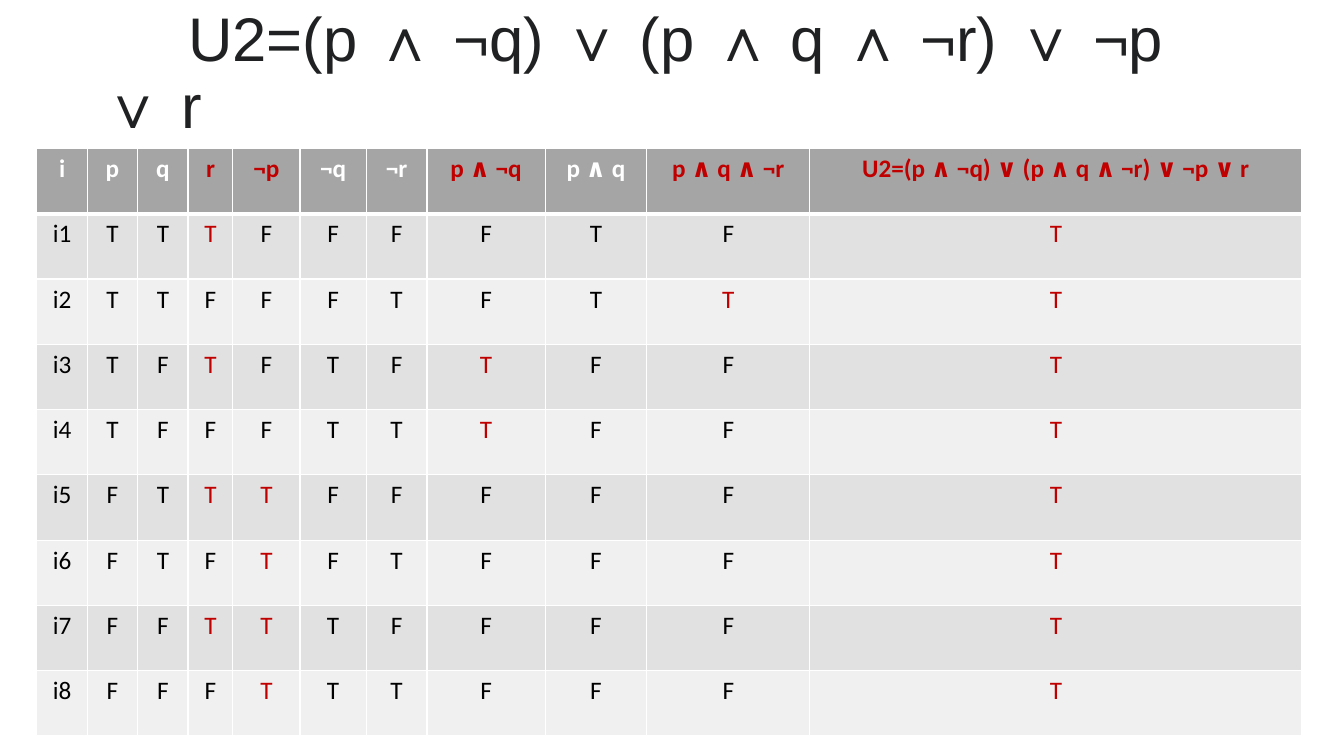
from itertools import product

from pptx import Presentation
from pptx.dml.color import RGBColor
from pptx.enum.text import MSO_ANCHOR, MSO_AUTO_SIZE, PP_ALIGN
from pptx.oxml import parse_xml
from pptx.oxml.ns import nsdecls
from pptx.util import Cm, Pt

INK = RGBColor(0x20, 0x21, 0x22)
BLACK = RGBColor(0x00, 0x00, 0x00)
WHITE = RGBColor(0xFF, 0xFF, 0xFF)
RED = RGBColor(0xC0, 0x00, 0x00)
HEADER_GREY = RGBColor(0xA5, 0xA5, 0xA5)
ODD_GREY = RGBColor(0xE1, 0xE1, 0xE1)
EVEN_GREY = RGBColor(0xF0, 0xF0, 0xF0)

FORMULA = "U2=(p ∧ ¬q) ∨ (p ∧ q ∧ ¬r) ∨ ¬p ∨ r"
HEADINGS = ["i", "p", "q", "r", "¬p", "¬q", "¬r",
            "p ∧ ¬q", "p ∧ q", "p ∧ q ∧ ¬r", FORMULA]
DISJUNCTS = {"r", "¬p", "p ∧ ¬q", "p ∧ q ∧ ¬r", FORMULA}
COLUMN_WIDTHS = [1.27, 1.27, 1.27, 1.13, 1.69, 1.67, 1.53, 2.98, 2.56, 4.11, 12.4]


def truth_rows():
    """Return the label and truth values of every interpretation."""
    rows = []
    for number, (p, q, r) in enumerate(product((True, False), repeat=3), 1):
        p_not_q, p_q_not_r = p and not q, p and q and not r
        values = [p, q, r, not p, not q, not r, p_not_q, p and q, p_q_not_r,
                  p_not_q or p_q_not_r or not p or r]
        rows.append([f"i{number}"] + ["T" if value else "F" for value in values])
    return rows


def add_formula_title(slide, left, top, width, height):
    """Place the formula in the title placeholder."""
    title = slide.shapes.title
    title.left, title.top, title.width, title.height = left, top, width, height
    frame = title.text_frame
    frame.text = FORMULA
    frame.word_wrap = True
    frame.auto_size = MSO_AUTO_SIZE.NONE
    frame.vertical_anchor = MSO_ANCHOR.MIDDLE
    line = frame.paragraphs[0]
    line.alignment = PP_ALIGN.LEFT
    line.line_spacing = 0.9
    properties = line._p.get_or_add_pPr()
    properties.set("marL", "0")
    properties.set("indent", str(Cm(2.16)))
    line.font.name, line.font.size = "Arial", Pt(44)
    line.font.color.rgb = INK


def add_borders(cell, bottom, top):
    """Draw white rules on the four sides of a cell."""
    for side, weight in (("L", 1), ("R", 1), ("T", top), ("B", bottom)):
        cell._tc.get_or_add_tcPr().append(parse_xml(
            f'<a:ln{side} {nsdecls("a")} w="{Pt(weight)}"><a:solidFill>'
            f'<a:srgbClr val="{WHITE}"/></a:solidFill></a:ln{side}>'))


def fill_cell(cell, text, row, heading):
    """Write and format one cell, in red where it decides the formula."""
    is_header = row == 0
    add_borders(cell, bottom=3 if is_header else 1, top=3 if row == 1 else 1)
    cell.fill.solid()
    cell.fill.fore_color.rgb = (
        HEADER_GREY if is_header else ODD_GREY if row % 2 else EVEN_GREY)
    cell.text = text
    entry = cell.text_frame.paragraphs[0]
    entry.alignment = PP_ALIGN.CENTER
    entry.font.name, entry.font.size = "Calibri", Pt(18)
    entry.font.bold = is_header
    is_red = heading in DISJUNCTS and text != "F"
    entry.font.color.rgb = RED if is_red else WHITE if is_header else BLACK


def add_truth_table(slide, left, top, width, height):
    """Build the truth table inside the given box."""
    rows = [HEADINGS] + truth_rows()
    table = slide.shapes.add_table(
        len(rows), len(HEADINGS), left, top, width, height).table
    table.horz_banding = False
    for column, column_width in zip(table.columns, COLUMN_WIDTHS):
        column.width = Cm(column_width)
    for row, texts in enumerate(rows):
        for column, (text, heading) in enumerate(zip(texts, HEADINGS)):
            fill_cell(table.cell(row, column), text, row, heading)


def main():
    """Create the slide and save it."""
    deck = Presentation()
    deck.slide_width, deck.slide_height = Cm(33.87), Cm(19.05)
    slide = deck.slides.add_slide(deck.slide_layouts[5])
    add_formula_title(slide, Cm(2.33), Cm(0.05), Cm(29.21), Cm(3.68))
    add_truth_table(slide, Cm(0.93), Cm(3.74), Cm(sum(COLUMN_WIDTHS)), Cm(14.81))
    deck.save("out.pptx")


if __name__ == "__main__":
    main()
